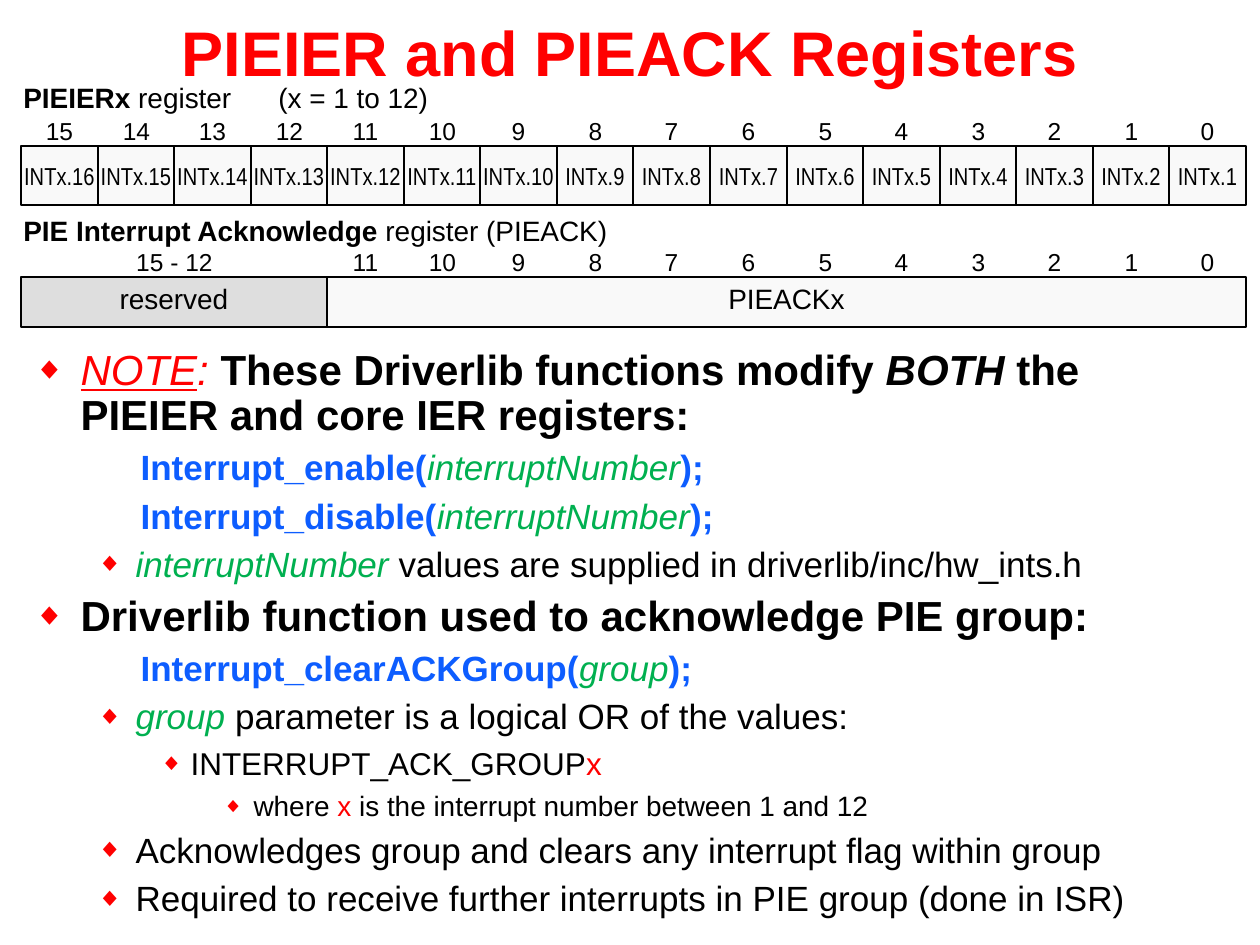
from dataclasses import dataclass
from typing import Any, Sequence

from lxml.etree import SubElement
from pptx import Presentation
from pptx.dml.color import RGBColor
from pptx.enum.shapes import MSO_SHAPE
from pptx.enum.text import MSO_ANCHOR, MSO_AUTO_SIZE, PP_ALIGN
from pptx.oxml.ns import qn
from pptx.util import Emu, Pt

SCALE = 914400 / 126
BLACK, RED, GREEN, BLUE = "000000", "FF0000", "00B050", "0D5DFF"
PALE, GREY = "F9F9F9", "DEDEDE"
LEFT, SPAN, BITS = 21, 1225, 16


@dataclass
class Run:
    text: str
    color: str = BLACK
    bold: bool = False
    slant: bool = False
    under: bool = False


@dataclass
class Line:
    runs: Sequence[Run]
    size: int
    level: int = 0
    indent: int = 47
    hang: int = 47
    bullet: bool = True


@dataclass
class Box:
    left: int
    top: int
    width: int
    height: int


def px(count: int) -> Emu:
    return Emu(round(count * SCALE))


def paint(target: Any, color: str) -> None:
    target.rgb = RGBColor.from_string(color)


def place(shape: Any, box: Box) -> None:
    shape.left, shape.top = px(box.left), px(box.top)
    shape.width, shape.height = px(box.width), px(box.height)


def write(para: Any, runs: Sequence[Run], size: int, face: str = "Arial") -> None:
    for item in runs:
        run = para.add_run()
        run.text = item.text
        font = run.font
        font.name, font.size = face, Pt(size)
        font.bold, font.italic, font.underline = item.bold, item.slant, item.under
        paint(font.color, item.color)


def label(group: Any, box: Box, runs: Sequence[Run], size: int, mid: bool = True) -> Any:
    shape = group.shapes.add_textbox(*map(px, (box.left, box.top, box.width, box.height)))
    frame = shape.text_frame
    frame.word_wrap = not mid
    frame.vertical_anchor = MSO_ANCHOR.MIDDLE if mid else MSO_ANCHOR.TOP
    para = frame.paragraphs[0]
    para.alignment = PP_ALIGN.CENTER if mid else PP_ALIGN.LEFT
    para.line_spacing = 0.8
    write(para, runs, size)
    return para


def cell(group: Any, box: Box, text: str, size: int, face: str, space: float, fill: str) -> None:
    shape = group.shapes.add_shape(
        MSO_SHAPE.RECTANGLE, *map(px, (box.left, box.top, box.width, box.height)))
    shape.shadow.inherit = False
    shape.fill.solid()
    paint(shape.fill.fore_color, fill)
    shape.line.width = Pt(1)
    paint(shape.line.color, BLACK)
    frame = shape.text_frame
    frame.word_wrap = False
    frame.vertical_anchor = MSO_ANCHOR.MIDDLE
    frame.margin_left = frame.margin_right = frame.margin_top = frame.margin_bottom = 0
    para = frame.paragraphs[0]
    para.alignment = PP_ALIGN.CENTER
    para.line_spacing = space
    write(para, [Run(text)], size, face)


def edge(slot: int) -> int:
    return LEFT + round(SPAN * slot / BITS)


def number(group: Any, text: str, start: int, stop: int, top: int) -> None:
    width = 25 + 14 * len(text)
    mid = (edge(start) + edge(stop)) // 2
    label(group, Box(mid - width // 2, top, width, 36), [Run(text)], 14)


def enable(slide: Any) -> None:
    group = slide.shapes.add_group_shape()
    runs = [Run("PIEIERx", bold=True), Run(" register\t(x = 1 to 12)")]
    para = label(group, Box(11, 81, 435, 40), runs, 16, False)
    tabs = SubElement(para._p.get_or_add_pPr(), qn("a:tabLst"))
    SubElement(tabs, qn("a:tab"), pos=str(px(255)), algn="l")
    for slot in range(BITS):
        box = Box(edge(slot), 146, edge(slot + 1) - edge(slot), 59)
        cell(group, box, f"INTx.{BITS - slot}", 14, "Arial Narrow", 1.0, PALE)
        number(group, str(BITS - 1 - slot), slot, slot + 1, 115)


def confirm(slide: Any) -> None:
    group = slide.shapes.add_group_shape()
    for text, start, stop, fill in (("reserved", 0, 4, GREY), ("PIEACKx", 4, BITS, PALE)):
        box = Box(edge(start), 277, edge(stop) - edge(start), 50)
        cell(group, box, text, 16, "Arial", 0.8, fill)
    runs = [Run("PIE Interrupt Acknowledge", bold=True), Run(" register (PIEACK)")]
    label(group, Box(11, 214, 639, 40), runs, 16, False)
    number(group, "15 - 12", 0, 4, 246)
    for slot in range(4, BITS):
        number(group, str(BITS - 1 - slot), slot, slot + 1, 246)


def code(name: str, value: str) -> Line:
    runs = [Run(name + "(", BLUE, True), Run(value, GREEN, slant=True), Run(");", BLUE, True)]
    return Line(runs, 20, indent=107, hang=0, bullet=False)


def point(*runs: Run) -> Line:
    return Line(runs, 20, 1, 102, 39)


LINES = [
    Line([
        Run("NOTE", RED, slant=True, under=True),
        Run(":", RED, slant=True),
        Run(" These Driverlib functions modify ", bold=True),
        Run("BOTH", bold=True, slant=True),
        Run(" the PIEIER and core IER registers:", bold=True),
    ], 24),
    code("Interrupt_enable", "interruptNumber"),
    code("Interrupt_disable", "interruptNumber"),
    point(Run("interruptNumber ", GREEN, slant=True),
          Run("values are supplied in driverlib/inc/hw_ints.h")),
    Line([Run("Driverlib function used to acknowledge PIE group:", bold=True)], 24),
    code("Interrupt_clearACKGroup", "group"),
    point(Run("group ", GREEN, slant=True), Run("parameter is a logical OR of the values:")),
    Line([Run("INTERRUPT_ACK_GROUP"), Run("x", RED)], 18, 2, 157, 31),
    Line([Run("where "), Run("x", RED),
          Run(" is the interrupt number between 1 and 12")], 16, 3, 220, 31),
    point(Run("Acknowledges group and clears any interrupt flag within group")),
    point(Run("Required to receive further interrupts in PIE group (done in ISR)")),
]


def notes(shape: Any) -> None:
    place(shape, Box(21, 343, 1218, 591))
    frame = shape.text_frame
    frame.auto_size = MSO_AUTO_SIZE.NONE
    for index, line in enumerate(LINES):
        para = frame.add_paragraph() if index else frame.paragraphs[0]
        para.level = line.level
        props = para._p.get_or_add_pPr()
        props.set("marL", str(px(line.indent)))
        props.set("indent", str(px(-line.hang)))
        if line.bullet:
            tint = SubElement(props, qn("a:buClr"))
            SubElement(tint, qn("a:srgbClr"), val=RED)
            SubElement(props, qn("a:buSzPct"), val="75000")
            SubElement(props, qn("a:buFont"), typeface="Arial")
            SubElement(props, qn("a:buChar"), char="◆")
        else:
            SubElement(props, qn("a:buNone"))
        para.line_spacing = 0.9
        para.space_before = Pt(6 if index else 0)
        write(para, line.runs, line.size)


def main() -> None:
    deck = Presentation()
    deck.slide_width, deck.slide_height = px(1260), px(945)
    slide = deck.slides.add_slide(deck.slide_layouts[1])
    title = slide.shapes.title
    place(title, Box(0, 0, 1260, 102))
    frame = title.text_frame
    frame.auto_size = MSO_AUTO_SIZE.NONE
    frame.vertical_anchor = MSO_ANCHOR.MIDDLE
    frame.paragraphs[0].alignment = PP_ALIGN.CENTER
    write(frame.paragraphs[0], [Run("PIEIER and PIEACK Registers", RED, True)], 36)
    enable(slide)
    confirm(slide)
    notes(slide.placeholders[1])
    deck.save("out.pptx")


if __name__ == "__main__":
    main()
